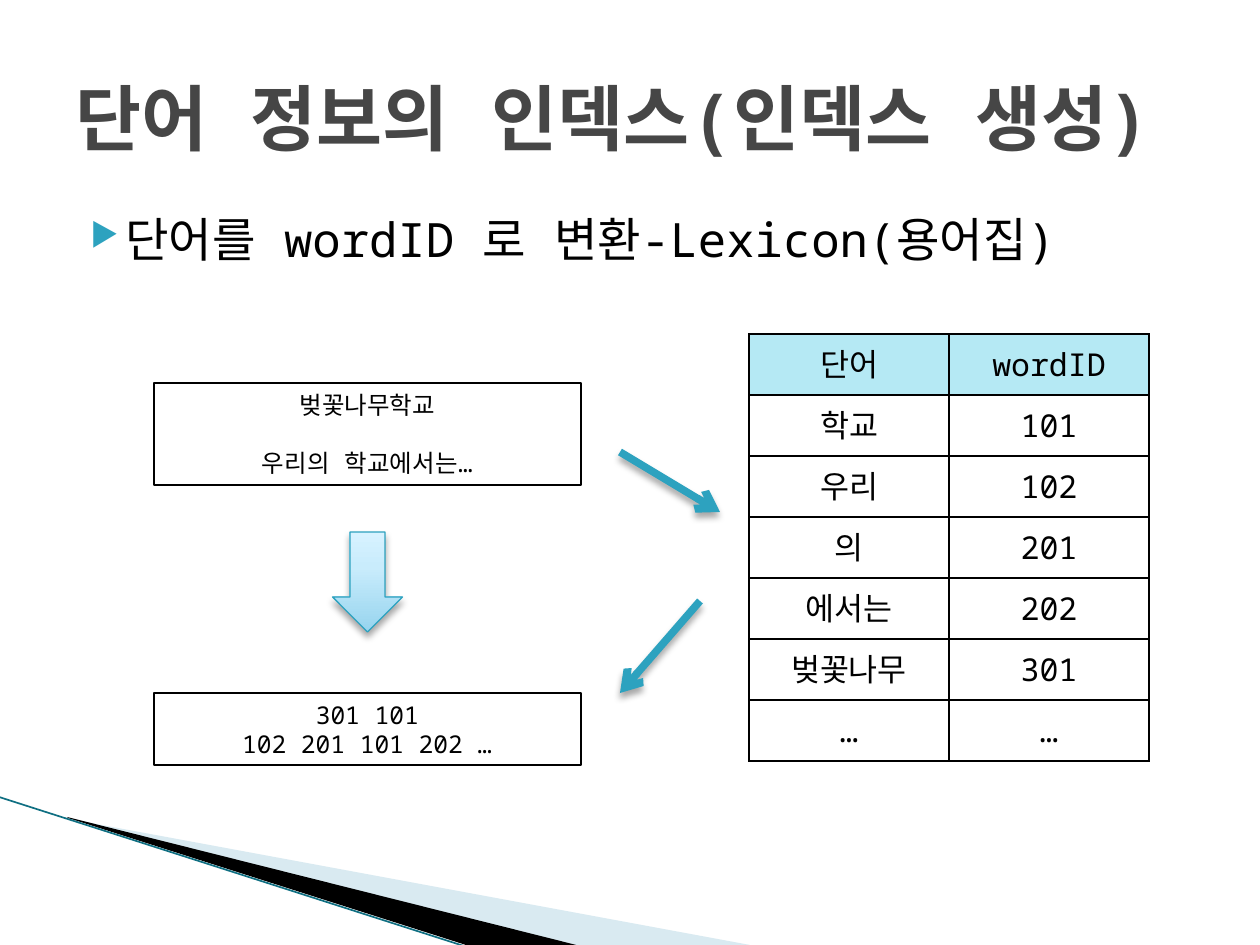
import pptx
import pptx.util
import pptx.dml.color
import pptx.oxml
import pptx.oxml.ns
import pptx.enum.shapes
import pptx.enum.text

RGB = pptx.dml.color.RGBColor
SHAPE = pptx.enum.shapes.MSO_SHAPE
ALIGN = pptx.enum.text.PP_ALIGN
MIDDLE = pptx.enum.text.MSO_ANCHOR.MIDDLE
Pt = pptx.util.Pt
qn = pptx.oxml.ns.qn

FONT = "Noto Sans Mono"
BLACK = RGB(0, 0, 0)
WHITE = RGB(255, 255, 255)
GRAY = RGB(0x46, 0x46, 0x46)
TEAL = RGB(0x2D, 0xA2, 0xBF)
PALE = RGB(0xA0, 0xCB, 0xDC)
EDGE = RGB(0x0F, 0x6F, 0x82)
HEAD = RGB(0xB5, 0xE9, 0xF4)
STOPS = [(0, RGB(0x96, 0xD4, 0xEE)), (65, RGB(0xC9, 0xEC, 0xFC)),
         (100, RGB(0xD7, 0xF2, 0xFF))]
SCALE = 914400 / 126


def px(*nums):
    return [pptx.util.Emu(round(n * SCALE)) for n in nums]


def node(xml):
    return pptx.oxml.parse_xml(
        xml.replace(">", f" {pptx.oxml.ns.nsdecls('a')}>", 1)
        if "/>" not in xml.split(">", 1)[0] + ">"
        else xml.replace("/>", f" {pptx.oxml.ns.nsdecls('a')}/>", 1))


def write(frame, *lines, size=14, color=BLACK, bold=False, align=ALIGN.CENTER,
          anchor=MIDDLE, gap=0):
    frame.word_wrap = True
    frame.vertical_anchor = anchor
    for i, line in enumerate(lines):
        para = frame.paragraphs[0] if i == 0 else frame.add_paragraph()
        para.alignment = align
        if i:
            para.space_before = Pt(gap)
        run = para.add_run()
        run.text = line
        run.font.size = Pt(size)
        run.font.bold = bold
        run.font.name = FONT
        run.font.color.rgb = color
        run.font._element.find(qn("a:latin")).addnext(
            node(f'<a:ea typeface="{FONT}"/>'))


def shade(shape):
    shape._element.spPr.append(node(
        '<a:effectLst><a:outerShdw blurRad="50800" dist="38100" dir="5400000" '
        'rotWithShape="0"><a:srgbClr val="000000"><a:alpha val="35000"/>'
        '</a:srgbClr></a:outerShdw></a:effectLst>'))


def link(slide, start, end, color, width, arrow=False):
    line = slide.shapes.add_connector(
        pptx.enum.shapes.MSO_CONNECTOR.STRAIGHT, *px(*start, *end))
    line.line.color.rgb = color
    line.line.width = Pt(width)
    if arrow:
        line.line._get_or_add_ln().append(node('<a:tailEnd type="arrow"/>'))
        shade(line)
    else:
        line._element.spPr.append(node("<a:effectLst/>"))


def wedge(slide, points, color, alpha=100):
    form = slide.shapes.build_freeform(*points[0], scale=SCALE)
    form.add_line_segments(points[1:], close=True)
    shape = form.convert_to_shape()
    shape.shadow.inherit = False
    shape.fill.solid()
    shape.fill.fore_color.rgb = color
    shape.line.fill.background()
    if alpha < 100:
        tone = shape._element.spPr.find(qn("a:solidFill"))[0]
        tone.append(node(f'<a:alpha val="{alpha * 1000}"/>'))


def corner(slide, left, top):
    def move(*points):
        return [(left + x, top + y) for x, y in points]
    wedge(slide, move((69, 22), (750, 148), (575, 148), (69, 21)), PALE, 40)
    wedge(slide, move((67, 20), (576, 148), (469, 149), (68, 21)), BLACK)
    link(slide, *move((-1, 0), (467, 150)), EDGE, 0.95)


def title(slide, left, top, width, height):
    box = slide.shapes.add_textbox(*px(left, top, width, height))
    write(box.text_frame, "단어 정보의 인덱스(인덱스 생성)", size=41,
          color=GRAY, bold=True, align=ALIGN.LEFT)


def body(slide, left, top, width, height):
    box = slide.shapes.add_textbox(*px(left, top, width, height))
    write(box.text_frame, "단어를 wordID 로 변환-Lexicon(용어집)", size=27,
          align=ALIGN.LEFT, anchor=pptx.enum.text.MSO_ANCHOR.TOP)
    para = box.text_frame.paragraphs[0]
    para.space_before = Pt(4)
    props = para._p.get_or_add_pPr()
    hang, = px(35)
    inset, = px(50)
    props.set("marL", str(inset))
    props.set("indent", str(-hang))
    for xml in (f'<a:buClr><a:srgbClr val="{TEAL}"/></a:buClr>',
                '<a:buSzPct val="68000"/>', '<a:buChar char="▶"/>'):
        props.append(node(xml))


def panel(slide, box, *lines, gap=0):
    shape = slide.shapes.add_shape(SHAPE.RECTANGLE, *px(*box))
    shape.shadow.inherit = False
    shape.fill.solid()
    shape.fill.fore_color.rgb = WHITE
    shape.line.color.rgb = BLACK
    shape.line.width = Pt(0.75)
    write(shape.text_frame, *lines, gap=gap)


def drop(slide, box):
    shape = slide.shapes.add_shape(SHAPE.DOWN_ARROW, *px(*box))
    shape.line.color.rgb = TEAL
    shape.line.width = Pt(0.75)
    stops = "".join(f'<a:gs pos="{at * 1000}"><a:srgbClr val="{tone}"/></a:gs>'
                    for at, tone in STOPS)
    shape._element.spPr.find(qn("a:prstGeom")).addnext(node(
        f'<a:gradFill><a:gsLst>{stops}</a:gsLst>'
        '<a:lin ang="16200000" scaled="0"/></a:gradFill>'))
    shade(shape)


def flow(slide, left, top, width):
    panel(slide, (left, top, width, 102), "벚꽃나무학교", "우리의 학교에서는…",
          gap=16.5)
    drop(slide, (left + width / 2 - 35, top + 149, 70, 100))
    panel(slide, (left, top + 310, width, 72), "301 101",
          "102 201 101 202 …")
    link(slide, (left + 466, top + 69), (left + 566, top + 129), TEAL, 4.33, True)
    link(slide, (left + 546, top + 218), (left + 466, top + 310), TEAL, 4.33, True)


def grid(slide, left, top, width, height):
    rows = [("단어", "wordID"), ("학교", "101"), ("우리", "102"), ("의", "201"),
            ("에서는", "202"), ("벚꽃나무", "301"), ("…", "…")]
    table = slide.shapes.add_table(
        len(rows), 2, *px(left, top, width, height)).table
    for r, row in enumerate(rows):
        for c, word in enumerate(row):
            cell = table.cell(r, c)
            write(cell.text_frame, word, size=18)
            cell.vertical_anchor = MIDDLE
            cell.fill.solid()
            cell.fill.fore_color.rgb = WHITE if r else HEAD
            props = cell._tc.get_or_add_tcPr()
            for i, side in enumerate(("lnL", "lnR", "lnT", "lnB")):
                props.insert(i, node(
                    f'<a:{side} w="12700"><a:solidFill><a:srgbClr '
                    f'val="{BLACK}"/></a:solidFill></a:{side}>'))


def main():
    deck = pptx.Presentation()
    deck.slide_width, deck.slide_height = px(1260, 945)
    slide = deck.slides.add_slide(deck.slide_layouts[6])
    corner(slide, 0, 797)
    body(slide, 63, 204, 1134, 624)
    title(slide, 63, 38, 1134, 157)
    flow(slide, 154, 383, 427)
    grid(slide, 749, 334, 400, 427)
    deck.save("out.pptx")


main()
